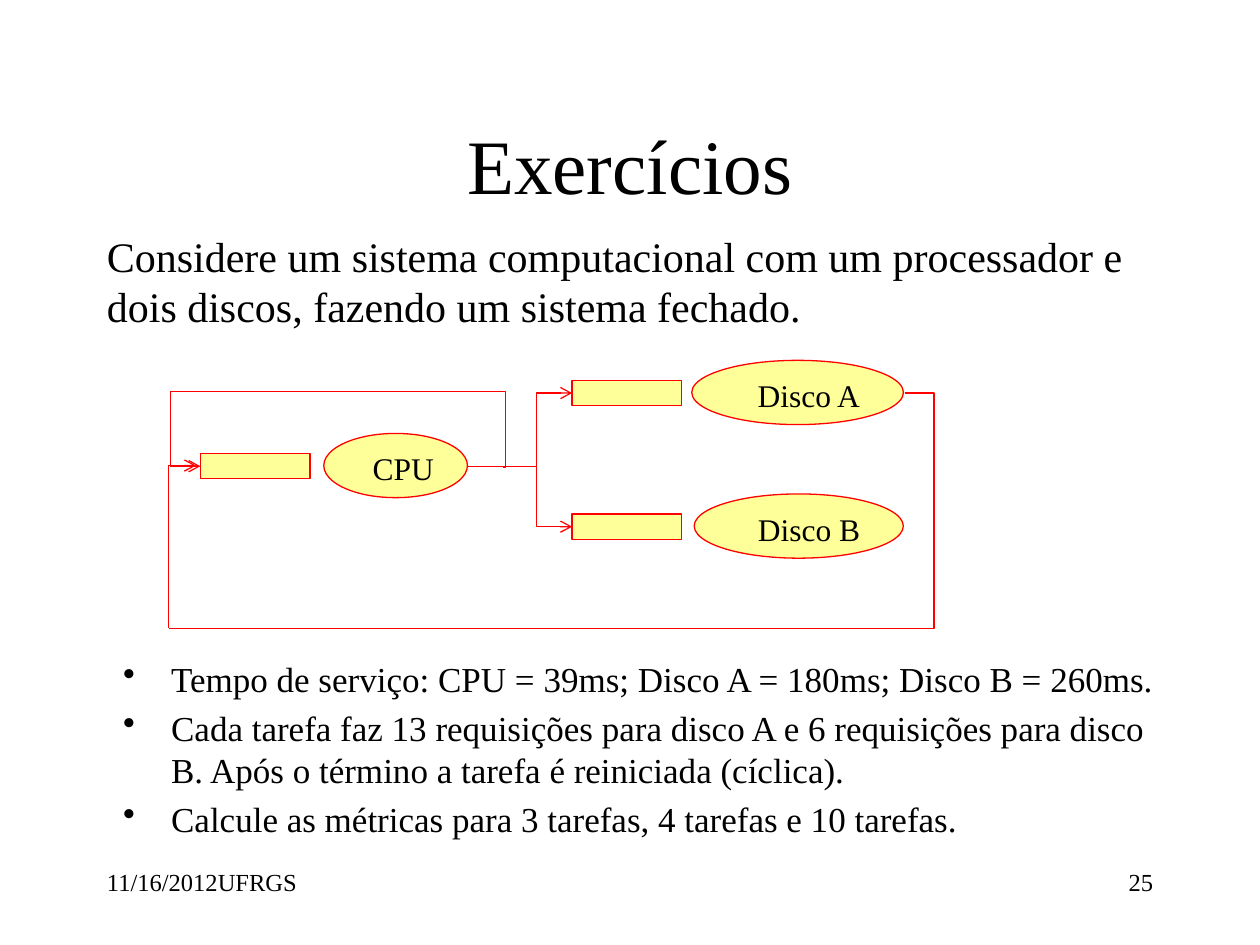
from lxml import etree
from pptx import Presentation
from pptx.dml.color import RGBColor
from pptx.enum.shapes import MSO_CONNECTOR, MSO_SHAPE
from pptx.enum.text import MSO_ANCHOR, PP_ALIGN
from pptx.oxml.ns import qn
from pptx.util import Inches, Pt

LEFT, CENTER, RIGHT = PP_ALIGN.LEFT, PP_ALIGN.CENTER, PP_ALIGN.RIGHT
TOP, MIDDLE = MSO_ANCHOR.TOP, MSO_ANCHOR.MIDDLE
RECTANGLE, SERVER = MSO_SHAPE.RECTANGLE, MSO_SHAPE.FLOWCHART_CONNECTOR
STRAIGHT, ELBOW = MSO_CONNECTOR.STRAIGHT, MSO_CONNECTOR.ELBOW

FONT = "Times New Roman"
BLACK, RED, YELLOW = "000000", "FF0000", "FFFF99"


def color(hex_value):
    return RGBColor.from_string(hex_value)


def write(shape, lines, size, align=LEFT, anchor=TOP, space_before=0):
    frame = shape.text_frame
    frame.word_wrap = True
    frame.vertical_anchor = anchor
    frame.text = "\n".join(lines)
    for paragraph in frame.paragraphs:
        paragraph.alignment = align
        paragraph.space_before = Pt(space_before)
        paragraph.font.name = FONT
        paragraph.font.size = Pt(size)
        paragraph.font.color.rgb = color(BLACK)


def add_text(slide, box, lines, size, **options):
    shape = slide.shapes.add_textbox(*map(Inches, box))
    write(shape, lines, size, **options)
    return shape


def add_bullets(shape):
    for paragraph in shape.text_frame.paragraphs:
        properties = paragraph._p.get_or_add_pPr()
        properties.set("marL", str(Inches(0.38)))
        properties.set("indent", str(-Inches(0.38)))
        etree.SubElement(properties, qn("a:buChar")).set("char", "•")


def add_node(slide, kind, box, label=None):
    shape = slide.shapes.add_shape(kind, *map(Inches, box))
    shape.shadow.inherit = False
    shape.fill.solid()
    shape.fill.fore_color.rgb = color(YELLOW)
    shape.line.color.rgb = color(RED)
    shape.line.width = Pt(0.75)
    if label:
        write(shape, [label], 18, align=RIGHT)


def add_line(slide, kind, box, arrow=False):
    left, top, width, height = box
    connector = slide.shapes.add_connector(
        kind, Inches(left), Inches(top), Inches(left + width), Inches(top + height))
    connector.line.color.rgb = color(RED)
    connector.line.width = Pt(0.75)
    if arrow:
        line = connector.line._get_or_add_ln()
        etree.SubElement(line, qn("a:tailEnd")).set("type", "arrow")
    etree.SubElement(connector._element.spPr, qn("a:effectLst"))
    return connector


def add_elbow(slide, preset, box, rotation=0, flips="", adjustments=(), arrow=True):
    """Box is the frame before rotation; adjustments are fractions of its sides."""
    properties = add_line(slide, ELBOW, box, arrow)._element.spPr
    transform = properties.find(qn("a:xfrm"))
    transform.set("rot", str(rotation * 60000))
    for flip in flips:
        transform.set("flip" + flip, "1")
    geometry = properties.find(qn("a:prstGeom"))
    geometry.set("prst", preset)
    guides = geometry.find(qn("a:avLst"))
    for number, value in enumerate(adjustments, 1):
        guide = etree.SubElement(guides, qn("a:gd"))
        guide.set("name", f"adj{number}")
        guide.set("fmla", f"val {round(value * 100000)}")


def add_network(slide):
    # Queues
    for left, top in ((1.59, 3.6), (4.54, 3.02), (4.54, 4.08)):
        add_node(slide, RECTANGLE, (left, top, 0.87, 0.2))

    # Servers
    for left, top, width, label in ((2.57, 3.44, 1.14, "CPU"),
                                    (5.49, 2.86, 1.68, "Disco A"),
                                    (5.51, 3.92, 1.66, "Disco B")):
        add_node(slide, SERVER, (left, top, width, 0.51), label)

    # CPU output branching to both disks
    add_line(slide, STRAIGHT, (3.71, 3.7, 0.55, 0))
    add_elbow(slide, "bentConnector2", (4.11, 3.27, 0.58, 0.28), 90, "HV")
    add_elbow(slide, "bentConnector2", (4.16, 3.8, 0.48, 0.28), 270, "H")

    # CPU output looping back to its own queue
    add_elbow(slide, "bentConnector5", (1.59, 3.7, 2.4, 0.01), 180,
              adjustments=(-0.01, 61, 1.1))

    # Disk output returning to the CPU queue
    add_elbow(slide, "bentConnector3", (1.34, 3.12, 5.84, 1.87), flips="H",
              adjustments=(-0.04,), arrow=False)
    add_elbow(slide, "bentConnector2", (0.8, 4.23, 1.29, 0.22), 90, "HV")


def main():
    presentation = Presentation()
    presentation.slide_width = Inches(10)
    presentation.slide_height = Inches(7.5)
    slide = presentation.slides.add_slide(presentation.slide_layouts[6])

    # Title and introduction
    add_text(slide, (0.75, 0.67, 8.5, 1.25), ["Exercícios"], 44,
             align=CENTER, anchor=MIDDLE)
    add_text(slide, (0.75, 1.78, 8.5, 1.1),
             ["Considere um sistema computacional com um processador e "
              "dois discos, fazendo um sistema fechado."], 24, space_before=4.8)

    # Footer
    add_text(slide, (0.75, 6.83, 2.08, 0.5), ["11/16/2012UFRGS"], 14)
    add_text(slide, (7.17, 6.83, 2.08, 0.5), ["25"], 14, align=RIGHT)

    add_network(slide)

    # Exercise data
    add_bullets(add_text(slide, (0.88, 5.17, 8.5, 1.73), [
        "Tempo de serviço: CPU = 39ms; Disco A = 180ms; Disco B = 260ms.",
        "Cada tarefa faz 13 requisições para disco A e 6 requisições para disco B. "
        "Após o término a tarefa é reiniciada (cíclica).",
        "Calcule as métricas para 3 tarefas, 4 tarefas e 10 tarefas.",
    ], 20, space_before=4))

    presentation.save("out.pptx")


if __name__ == "__main__":
    main()
